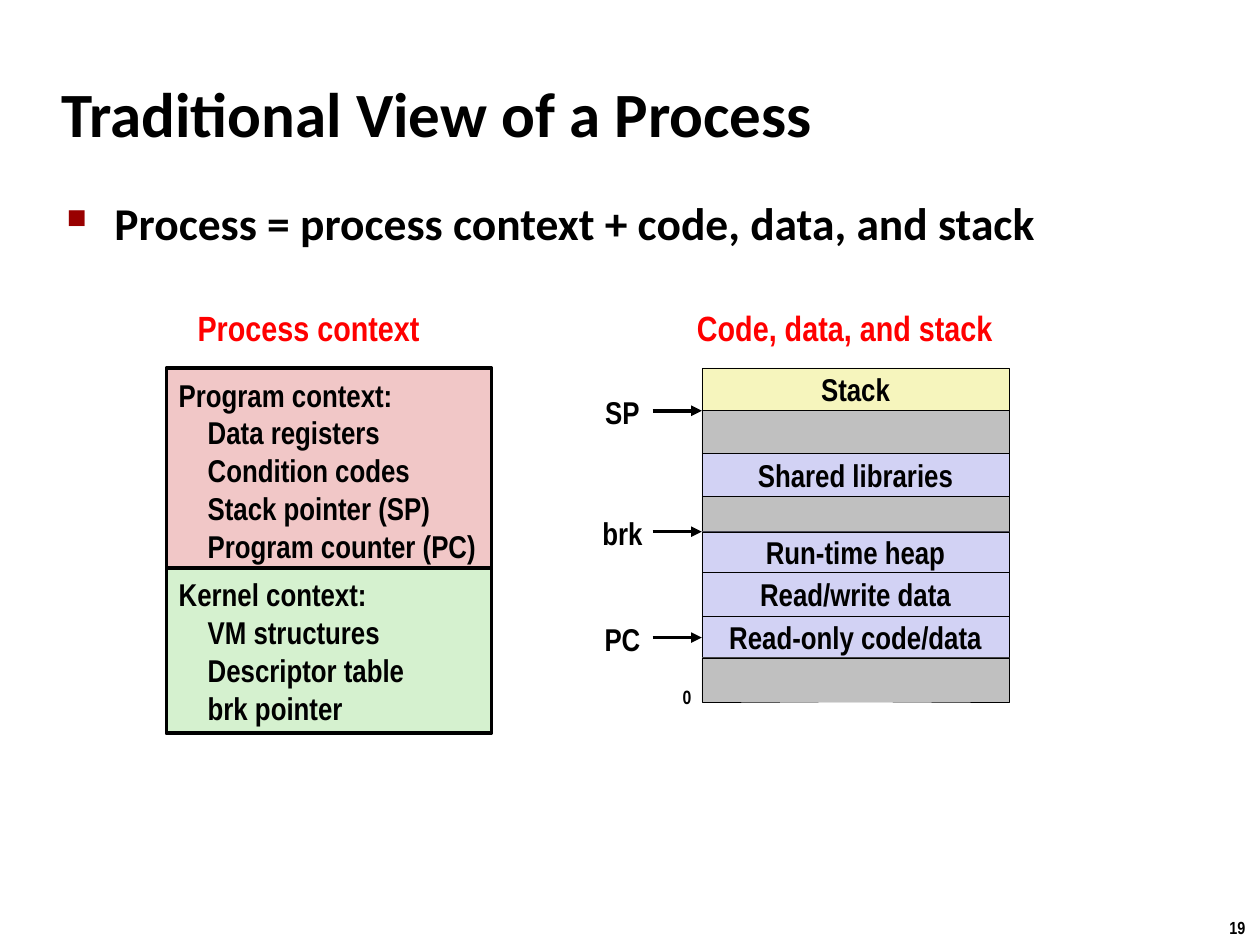
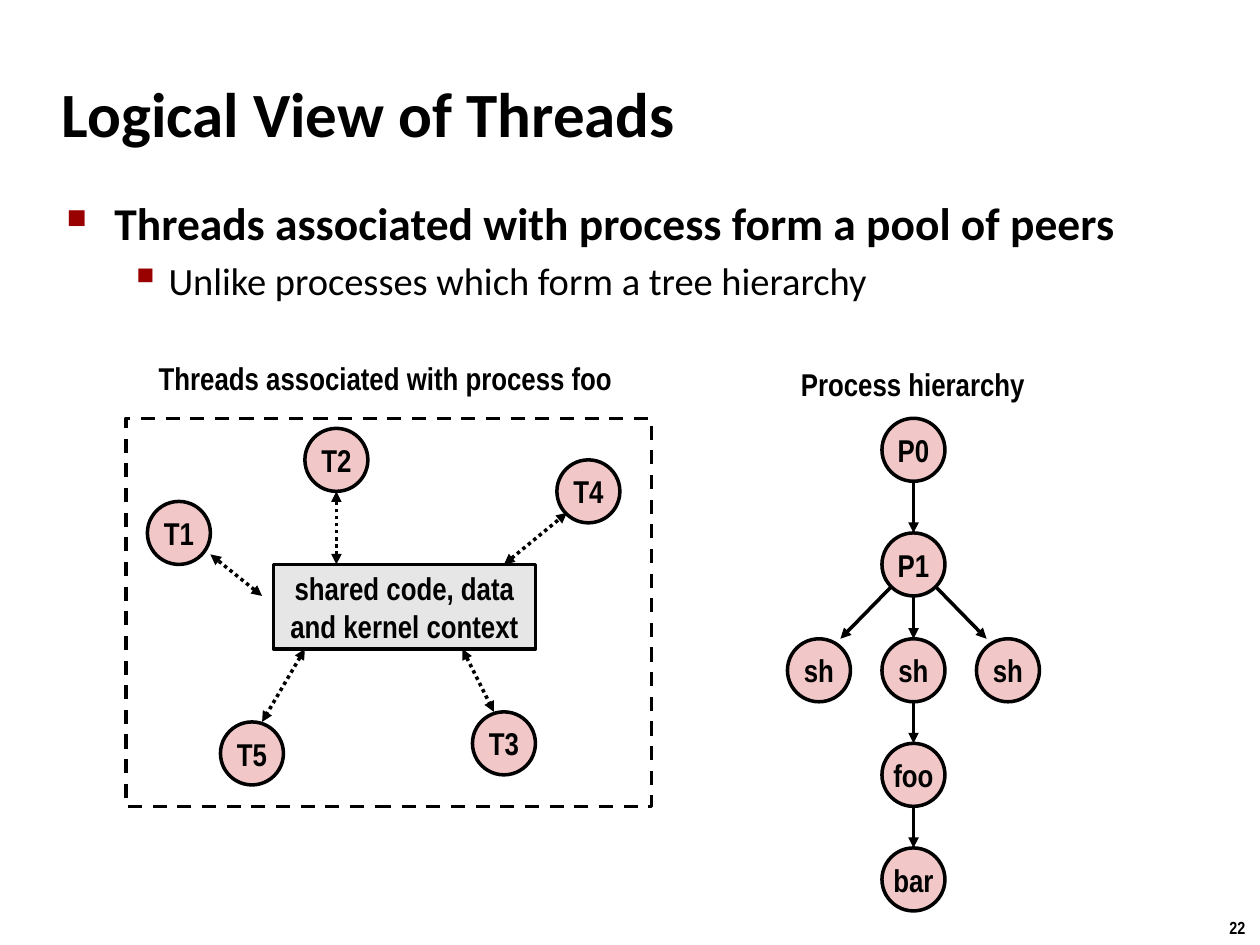
from lxml import etree
from pptx import Presentation
from pptx.dml.color import RGBColor
from pptx.enum.dml import MSO_LINE
from pptx.enum.shapes import MSO_CONNECTOR, MSO_SHAPE
from pptx.enum.text import MSO_ANCHOR, MSO_AUTO_SIZE, PP_ALIGN
from pptx.oxml.ns import qn
from pptx.util import Pt

PX = 9144  # 100 px to the inch
HEAD_FONT, LABEL_FONT = "Calibri", "Arial Narrow"
BLACK, RED, BULLET_RED = "000000", "FF0000", "990000"
PINK, GREEN, YELLOW = "F1C7C7", "D5F1CF", "F6F5BD"
LILAC, GRAY, LIGHT_GRAY = "D2D2F4", "C0C0C0", "E6E6E6"
LEFT, CENTER = PP_ALIGN.LEFT, PP_ALIGN.CENTER
TOP, MIDDLE = MSO_ANCHOR.TOP, MSO_ANCHOR.MIDDLE
RECT, OVAL = MSO_SHAPE.RECTANGLE, MSO_SHAPE.OVAL
STRAIGHT = MSO_CONNECTOR.STRAIGHT
DASH, DOTS = MSO_LINE.DASH, MSO_LINE.ROUND_DOT
NO_AUTOFIT = MSO_AUTO_SIZE.NONE

NODE = 50          # diameter of a thread or process
NODE_CORNER = 17   # offset of a slanted arrow from a node's centre

# (text, left indent, hanging, size, bold, bullet, bullet size in %)
BULLET_LEVELS = [(38, 38, 26, True, "■", 60), (81, 31, 22, False, "▪", 110)]


def emu(*lengths):
    return [round(length * PX) for length in lengths]


def color(hex_string):
    return RGBColor.from_string(hex_string)


def write(holder, lines, size=18, font=LABEL_FONT, fill=BLACK, bold=True,
          align=CENTER, anchor=MIDDLE, wrap=False, indents=None):
    """Put one paragraph per line into a shape, with optional left indents."""
    frame = holder.text_frame
    frame.auto_size = NO_AUTOFIT
    frame.word_wrap = wrap
    frame.vertical_anchor = anchor
    if wrap:
        frame.margin_right = 0
    for i, line in enumerate(lines):
        paragraph = frame.paragraphs[0] if i == 0 else frame.add_paragraph()
        paragraph.alignment = align
        if indents:
            paragraph._p.get_or_add_pPr().set("marL", str(indents[i] * PX))
        run = paragraph.add_run()
        run.text = line
        run.font.size, run.font.name, run.font.bold = Pt(size), font, bold
        run.font.color.rgb = color(fill)
    return frame


def label(slide, box, text, **style):
    return write(slide.shapes.add_textbox(*emu(*box)), [text], **style)


def block(slide, kind, box, fill=None, line_width=2, dash=None):
    shape = slide.shapes.add_shape(kind, *emu(*box))
    shape.shadow.inherit = False
    if fill:
        shape.fill.solid()
        shape.fill.fore_color.rgb = color(fill)
    else:
        shape.fill.background()
    shape.line.color.rgb = color(BLACK)
    shape.line.width = Pt(line_width)
    if dash:
        shape.line.dash_style = dash
    return shape


def arrow(slide, start, end, dash=None, both_ends=False):
    connector = slide.shapes.add_connector(STRAIGHT, *emu(*start, *end))
    connector.line.color.rgb = color(BLACK)
    connector.line.width = Pt(2)
    if dash:
        connector.line.dash_style = dash
    outline = connector.line._get_or_add_ln()
    for tip in ["headEnd", "tailEnd"] if both_ends else ["tailEnd"]:
        etree.SubElement(outline, qn("a:" + tip), type="triangle")
    etree.SubElement(connector._element.spPr, qn("a:effectLst"))


def node(slide, x, y, name):
    write(block(slide, OVAL, (x, y, NODE, NODE), PINK), [name])


def add_bullet(paragraph, level):
    """Set indent, spacing and bullet of an outline paragraph."""
    indent, hanging, size, bold, mark, mark_size = BULLET_LEVELS[level]
    font = paragraph.runs[0].font
    font.size, font.bold = Pt(size), bold
    props = paragraph._p.get_or_add_pPr()
    props.set("marL", str(indent * PX))
    props.set("indent", str(-hanging * PX))
    before = etree.SubElement(props, qn("a:spcBef"))
    etree.SubElement(before, qn("a:spcPct"), val="20000")
    mark_color = etree.SubElement(props, qn("a:buClr"))
    etree.SubElement(mark_color, qn("a:srgbClr"), val=BULLET_RED)
    etree.SubElement(props, qn("a:buSzPct"), val=str(mark_size * 1000))
    etree.SubElement(props, qn("a:buChar"), char=mark)


def base_slide(deck, title, outline, page):
    """Title, outline and page number that every slide has."""
    slide = deck.slides.add_slide(deck.slide_layouts[5])
    heading = slide.shapes.title
    heading.left, heading.top, heading.width, heading.height = emu(39, 48, 830, 83)
    write(heading, [title], size=36, font=HEAD_FONT, align=LEFT, wrap=True)
    body = slide.shapes.add_textbox(*emu(43, 150, 864, 544))
    frame = write(body, outline, font=HEAD_FONT, align=LEFT, anchor=TOP, wrap=True)
    for level, paragraph in enumerate(frame.paragraphs):
        add_bullet(paragraph, level)
    label(slide, (966, 723, 34, 27), page, size=10, align=LEFT, anchor=TOP)
    return slide


def process_context(slide, x, y, width):
    label(slide, (x + 14, y - 54, 198, 44), "Process context", size=20, fill=RED)
    parts = [
        (0, 162, PINK, ["Program context:", "Data registers", "Condition codes",
                        "Stack pointer (SP)", "Program counter (PC)"]),
        (159, 131, GREEN, ["Kernel context:", "VM structures",
                           "Descriptor table", "brk pointer"]),
    ]
    for top, height, fill, lines in parts:
        part = block(slide, RECT, (x, y + top, width, height), fill)
        write(part, lines, align=LEFT, wrap=True,
              indents=[0] + [23] * (len(lines) - 1))


def memory_map(slide, x, y, width):
    label(slide, (x - 15, y - 54, 257, 44), "Code, data, and stack", size=20, fill=RED)
    # (segment, height, fill, pointer, pointer's distance from segment top)
    segments = [
        ("Stack", 34, YELLOW, None, 0),
        (None, 34, GRAY, "SP", 0),
        ("Shared libraries", 34, LILAC, None, 0),
        (None, 28, GRAY, None, 0),
        ("Run-time heap", 32, LILAC, "brk", 0),
        ("Read/write data", 35, LILAC, None, 0),
        ("Read-only code/data", 33, LILAC, "PC", 17),
        (None, 35, GRAY, None, 0),
    ]
    for name, height, fill, pointer, offset in segments:
        segment = block(slide, RECT, (x, y, width, height), fill, line_width=0.25)
        if name:
            write(segment, [name])
        if pointer:
            tip = y + offset
            label(slide, (x - 89, tip - 19, 52, 40), pointer)
            arrow(slide, (x - 39, tip), (x, tip))
        y += height
    label(slide, (x - 25, y - 18, 27, 29), "0", size=11, align=LEFT, anchor=TOP)


def thread_pool(slide, x, y, width, height):
    label(slide, (x - 24, y - 52, 460, 40), "Threads associated with process foo")
    block(slide, RECT, (x, y, width, height), dash=DASH)
    shared = block(slide, RECT, (x + 117, y + 116, 208, 67), LIGHT_GRAY)
    write(shared, ["shared code, data", "and kernel context"])
    # (thread, its corner, arrow end at the shared box, arrow end at the thread)
    threads = [
        ("T1", (17, 66), (108, 141), (67, 108)),
        ("T2", (142, 8), (167, 116), (167, 58)),
        ("T3", (275, 233), (267, 183), (292, 233)),
        ("T4", (342, 33), (300, 116), (350, 75)),
        ("T5", (75, 241), (142, 183), (108, 241)),
    ]
    for name, corner, shared_end, thread_end in threads:
        node(slide, x + corner[0], y + corner[1], name)
        arrow(slide, (x + shared_end[0], y + shared_end[1]),
              (x + thread_end[0], y + thread_end[1]), DOTS, both_ends=True)


def process_tree(slide, x, y):
    label(slide, (x - 19, y - 47, 237, 40), "Process hierarchy")
    column_step, rows = 75, [0, 91, 175, 258, 341]
    # (process, column, row, parent's index)
    processes = [("P0", 1, 0, None), ("P1", 1, 1, 0), ("sh", 0, 2, 1), ("sh", 1, 2, 1),
                 ("sh", 2, 2, 1), ("foo", 1, 3, 3), ("bar", 1, 4, 5)]
    for name, column, row, parent in processes:
        left, top = x + column * column_step, y + rows[row]
        node(slide, left, top, name)
        if parent is None:
            continue
        parent_column, parent_row = processes[parent][1:3]
        side = column - parent_column
        shift = side * NODE_CORNER
        parent_x = x + parent_column * column_step + NODE / 2
        parent_y = y + rows[parent_row] + NODE / 2
        drop = NODE_CORNER if side else NODE / 2
        arrow(slide, (parent_x + shift, parent_y + drop),
              (left + NODE / 2 - shift, top))


def main():
    deck = Presentation()
    deck.slide_width, deck.slide_height = emu(1000, 750)

    process_view = base_slide(
        deck, "Traditional View of a Process",
        ["Process = process context + code, data, and stack"], "19")
    process_context(process_view, 132, 292, 258)
    memory_map(process_view, 557, 292, 244)

    thread_view = base_slide(
        deck, "Logical View of Threads",
        ["Threads associated with process form a pool of peers",
         "Unlike processes which form a tree hierarchy"], "22")
    thread_pool(thread_view, 100, 332, 417, 308)
    process_tree(thread_view, 625, 332)

    deck.save("out.pptx")


if __name__ == "__main__":
    main()
